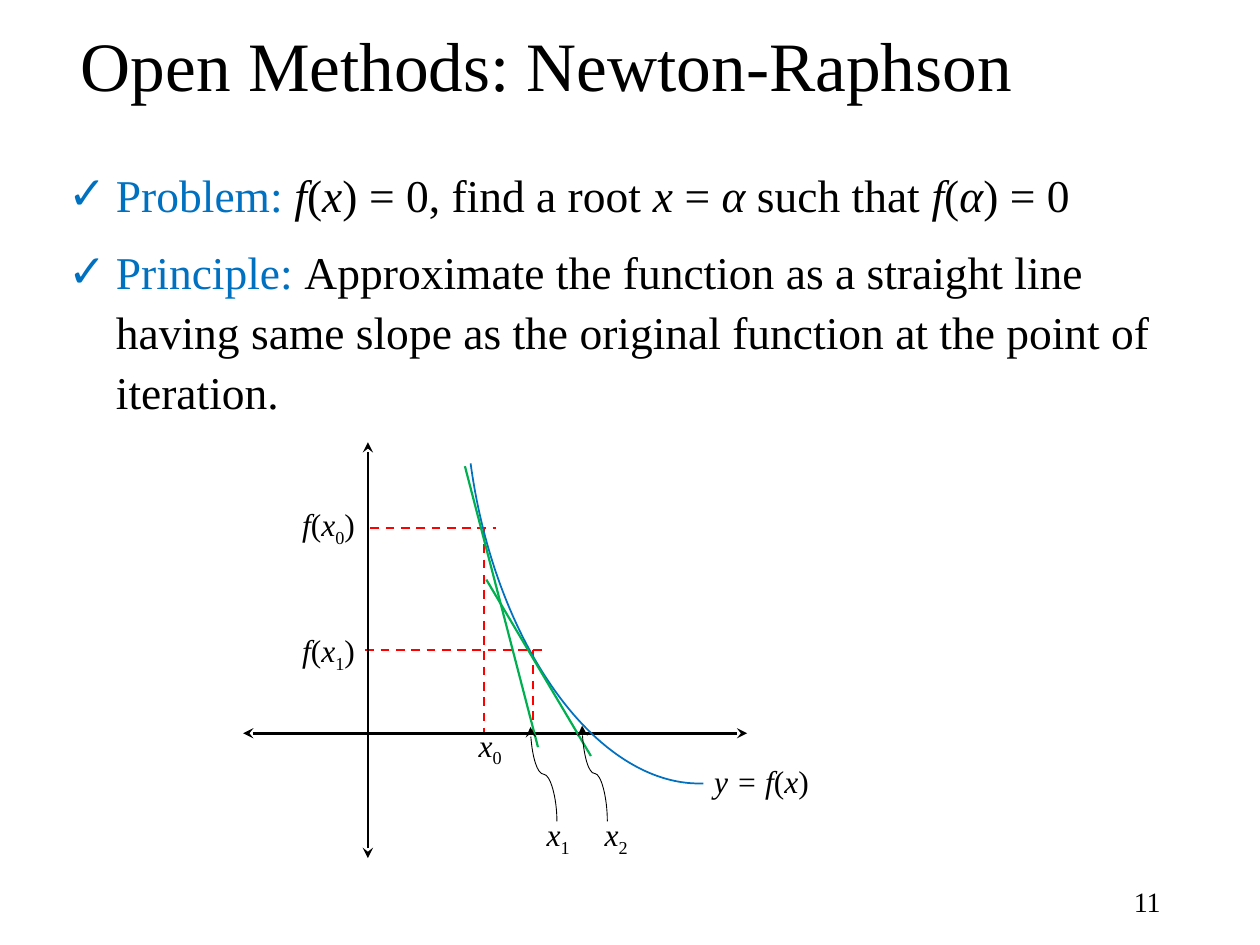
from lxml import etree
from pptx import Presentation
from pptx.dml.color import RGBColor
from pptx.enum.dml import MSO_LINE
from pptx.enum.shapes import MSO_CONNECTOR, MSO_SHAPE
from pptx.enum.text import MSO_ANCHOR, MSO_AUTO_SIZE, PP_ALIGN
from pptx.oxml.ns import qn
from pptx.util import Inches, Pt

STRAIGHT, CURVE = MSO_CONNECTOR.STRAIGHT, MSO_CONNECTOR.CURVE
ARC, DASH = MSO_SHAPE.ARC, MSO_LINE.DASH
TOP, MIDDLE = MSO_ANCHOR.TOP, MSO_ANCHOR.MIDDLE
LEFT, RIGHT = PP_ALIGN.LEFT, PP_ALIGN.RIGHT
NO_AUTOFIT = MSO_AUTO_SIZE.NONE

FONT = "Times New Roman"
BLACK = RGBColor(0x00, 0x00, 0x00)
BLUE = RGBColor(0x00, 0x70, 0xC0)
RED = RGBColor(0xFF, 0x00, 0x00)
GREEN = RGBColor(0x00, 0xB0, 0x50)

# Axis positions in inches
X_AXIS, Y_AXIS = 5.82, 2.92


def write_text(paragraph, text, size=18, color=BLACK):
    """Add runs to a paragraph: *italic* and ~subscript~ are marked in the text."""
    for i, part in enumerate(text.split("*")):
        for j, piece in enumerate(part.split("~")):
            if not piece:
                continue
            run = paragraph.add_run()
            run.text = piece
            font = run.font
            font.name, font.size, font.italic = FONT, Pt(size), i % 2 == 1
            font.color.rgb = color
            if j % 2:
                font._element.set("baseline", "-25000")


def place(shape, left, top, width, height):
    shape.left, shape.top = Inches(left), Inches(top)
    shape.width, shape.height = Inches(width), Inches(height)


def add_label(slide, text, left, top, width, size=18, align=LEFT, anchor=TOP):
    box = slide.shapes.add_textbox(Inches(left), Inches(top), Inches(width), Inches(0.4))
    frame = box.text_frame
    frame.word_wrap = True
    frame.vertical_anchor = anchor
    frame.paragraphs[0].alignment = align
    write_text(frame.paragraphs[0], text, size)


def add_line(slide, start, end, color, width, kind=STRAIGHT, dash=None, arrows=()):
    points = [Inches(value) for value in (*start, *end)]
    line = slide.shapes.add_connector(kind, *points)
    line.line.color.rgb = color
    line.line.width = Pt(width)
    if dash:
        line.line.dash_style = dash
    properties = line._element.spPr
    for arrow in arrows:
        etree.SubElement(properties.find(qn("a:ln")), qn(f"a:{arrow}"), type="stealth")
    etree.SubElement(properties, qn("a:effectLst"))
    return line


def add_pointer(slide, start, end):
    """S-shaped arrow that leaves and arrives vertically."""
    center_x, center_y = (start[0] + end[0]) / 2, (start[1] + end[1]) / 2
    half_x, half_y = (start[0] - end[0]) / 2, (start[1] - end[1]) / 2
    pointer = add_line(slide, (center_x - half_y, center_y + half_x),
                       (center_x + half_y, center_y - half_x),
                       BLACK, 0.5, kind=CURVE, arrows=["tailEnd"])
    pointer._element.spPr.find(qn("a:xfrm")).set("rot", str(270 * 60000))


def add_curve(slide):
    curve = slide.shapes.add_shape(ARC, Inches(3.73), Inches(0.83), Inches(3.08), Inches(5.41))
    curve.rotation = 171.2
    curve.adjustments[0], curve.adjustments[1] = 163.31, 2.1
    curve.shadow.inherit = False
    curve.fill.background()
    curve.line.color.rgb = BLUE
    curve.line.width = Pt(1)


def fill_title(title):
    place(title, 0.54, 0.26, 8.3, 0.57)
    frame = title.text_frame
    frame.auto_size = NO_AUTOFIT
    frame.vertical_anchor = MIDDLE
    heading = frame.paragraphs[0]
    heading.alignment, heading.line_spacing = LEFT, 0.9
    write_text(heading, "Open Methods: Newton-Raphson", size=39.6)


def fill_body(body, items):
    place(body, 0.44, 1.23, 9.09, 2.23)
    frame = body.text_frame
    frame.auto_size = NO_AUTOFIT
    for i, (lead, text) in enumerate(items):
        item = frame.add_paragraph() if i else frame.paragraphs[0]
        properties = item._p.get_or_add_pPr()
        properties.set("marL", str(Inches(0.38)))
        properties.set("indent", str(-Inches(0.38)))
        etree.SubElement(properties, qn("a:buChar"), char="✓")
        item.line_spacing = 1.1
        item.space_before = Pt(10 if i else 0)
        write_text(item, lead, size=26, color=BLUE)
        write_text(item, text, size=26)


def draw_graph(slide):
    # Guides from the iterates to the axes
    for start, end in [((2.94, 4.19), (3.94, 4.19)), ((2.9, 5.16), (4.3, 5.16)),
                       ((3.84, 4.2), (3.84, X_AXIS)), ((4.23, 5.16), (4.23, 5.86))]:
        add_line(slide, start, end, RED, 1.25, dash=DASH)

    # Axes
    for start, end in [((1.93, X_AXIS), (5.93, X_AXIS)), ((Y_AXIS, 6.81), (Y_AXIS, 3.51))]:
        add_line(slide, start, end, BLACK, 1.5, arrows=["headEnd", "tailEnd"])

    # Function and its tangents
    add_curve(slide)
    for start, end in [((3.69, 3.7), (4.27, 5.93)), ((3.86, 4.6), (4.69, 6))]:
        add_line(slide, start, end, GREEN, 1.25)

    # Pointers to the new iterates
    add_pointer(slide, (4.42, 6.52), (4.21, 5.77))
    add_pointer(slide, (4.82, 6.52), (4.62, 5.76))

    # Labels
    for text, left, top, width in [("*y = f*(*x*)", 5.57, 6, 1.05),
                                   ("*f*(*x*~0~)", 2.3, 3.96, 0.76),
                                   ("*f*(*x*~1~)", 2.3, 4.96, 0.76),
                                   ("*x*~0~", 3.7, 5.71, 0.42),
                                   ("*x*~1~", 4.24, 6.42, 0.42),
                                   ("*x*~2~", 4.7, 6.42, 0.52)]:
        add_label(slide, text, left, top, width)


def main():
    presentation = Presentation()
    presentation.slide_width, presentation.slide_height = Inches(10), Inches(7.5)
    slide = presentation.slides.add_slide(presentation.slide_layouts[1])

    fill_title(slide.shapes.title)
    fill_body(slide.placeholders[1], [
        ("Problem: ", "*f*(*x*) = 0, find a root *x* = *α* such that *f*(*α*) = 0"),
        ("Principle: ", "Approximate the function as a straight line having same slope "
                        "as the original function at the point of iteration."),
    ])
    draw_graph(slide)

    # Slide number
    add_label(slide, "11", 7.06, 6.95, 2.25, size=16, align=RIGHT, anchor=MIDDLE)

    presentation.save("out.pptx")


if __name__ == "__main__":
    main()
